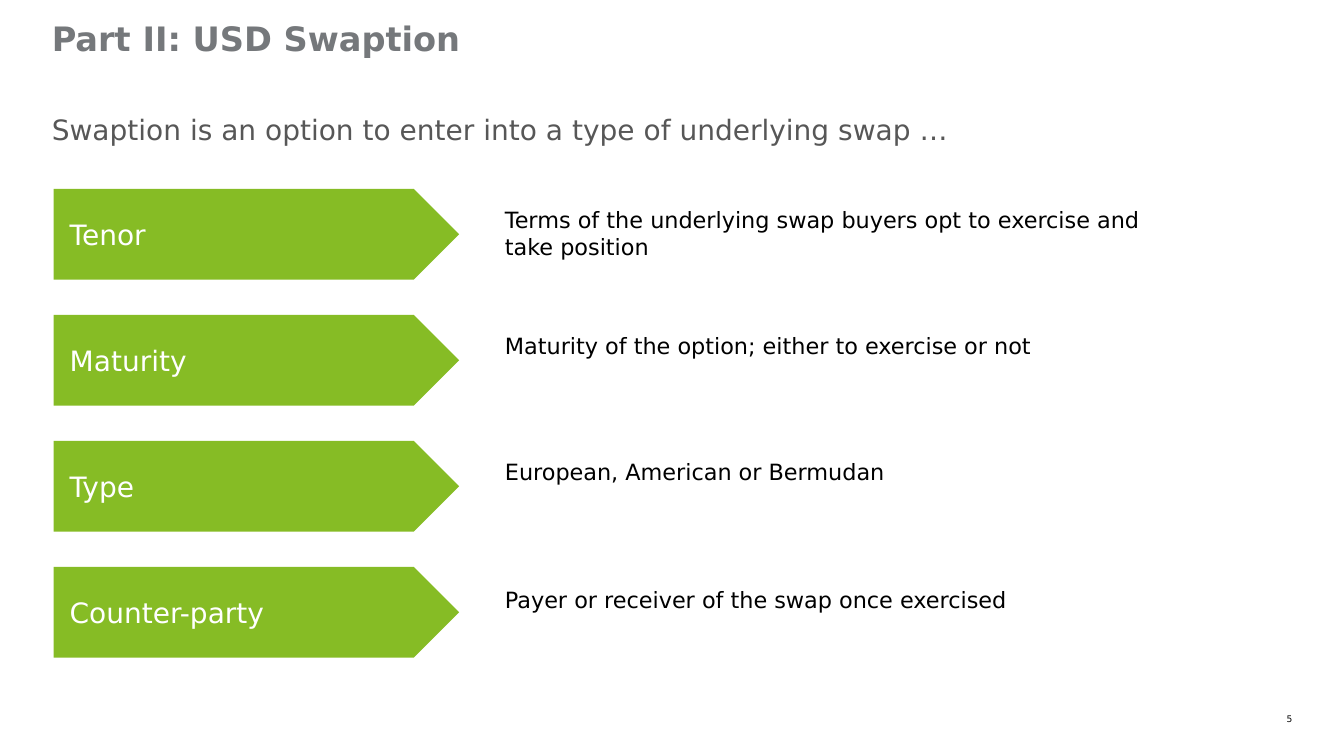
from pptx import Presentation
from pptx.dml.color import RGBColor
from pptx.enum.shapes import MSO_SHAPE
from pptx.enum.text import MSO_ANCHOR, MSO_AUTO_SIZE, PP_ALIGN
from pptx.util import Pt
from lxml import etree

PENTAGON = MSO_SHAPE.PENTAGON
TOP, MIDDLE = MSO_ANCHOR.TOP, MSO_ANCHOR.MIDDLE
LEFT, RIGHT, JUSTIFY = PP_ALIGN.LEFT, PP_ALIGN.RIGHT, PP_ALIGN.JUSTIFY
NO_FIT = MSO_AUTO_SIZE.NONE
DRAWING = "http://schemas.openxmlformats.org/drawingml/2006/main"


def color(hex_value):
    return RGBColor.from_string(hex_value)


def write(box, text, size, hex_value, align=LEFT, anchor=TOP, insets=(0, 0, 0, 0)):
    frame = box.text_frame
    frame.auto_size = NO_FIT
    frame.word_wrap = True
    frame.vertical_anchor = anchor
    frame.margin_left, frame.margin_top, frame.margin_right, frame.margin_bottom = map(Pt, insets)
    para = frame.paragraphs[0]
    para.text = text
    para.alignment = align
    para.space_before = Pt(0)
    para.font.name = "DejaVu Sans"
    para.font.size = Pt(size)
    para.font.color.rgb = color(hex_value)
    return para


deck = Presentation()
deck.slide_width, deck.slide_height = Pt(960), Pt(540)
page = deck.slides.add_slide(deck.slide_layouts[1])
shapes = page.shapes

title = shapes.title
title.left, title.top, title.width, title.height = Pt(37), Pt(15.8), Pt(907), Pt(35.3)
title_para = write(title, "Part II: USD Swaption", 24, "75787B")
title_para.font.bold = True
title_para.line_spacing = 0.9

intro = page.placeholders[1]
intro.left, intro.top, intro.width, intro.height = Pt(37), Pt(80), Pt(886), Pt(40.3)
intro_para = write(intro, "Swaption is an option to enter into a type of underlying swap …", 20, "575757")
intro_para.space_after = Pt(13.3)
intro_format = intro_para._p.get_or_add_pPr()
intro_format.set("marL", "0")
intro_format.set("indent", "0")
etree.SubElement(intro_format, f"{{{DRAWING}}}buNone")
intro_format.append(intro_format.find(f"{{{DRAWING}}}defRPr"))

features = [
    ("Tenor", "Terms of the underlying swap buyers opt to exercise and take position", 147),
    ("Maturity", "Maturity of the option; either to exercise or not", 237.4),
    ("Type", "European, American or Bermudan", 327.6),
    ("Counter-party", "Payer or receiver of the swap once exercised", 419),
]
for row, (label, meaning, meaning_top) in enumerate(features):
    arrow = shapes.add_shape(PENTAGON, Pt(38.3), Pt(134.9 + 90 * row), Pt(289.7), Pt(64.8))
    arrow.shadow.inherit = False
    arrow.fill.solid()
    arrow.fill.fore_color.rgb = color("86BC25")
    arrow.line.fill.background()
    write(arrow, label, 20, "FFFFFF", anchor=MIDDLE, insets=(11.5, 7.2, 7.2, 7.2))

    meaning_box = shapes.add_textbox(Pt(360.7), Pt(meaning_top), Pt(453.6), Pt(40.3))
    meaning_para = write(meaning_box, meaning, 16, "000000", align=JUSTIFY)
    meaning_para.space_before = Pt(6)

page_number = shapes.add_textbox(Pt(898.6), Pt(509.8), Pt(24.5), Pt(7.9))
number_para = write(page_number, "5", 6.5, "000000", align=RIGHT)
number_para.space_before = Pt(8)

deck.save("out.pptx")
